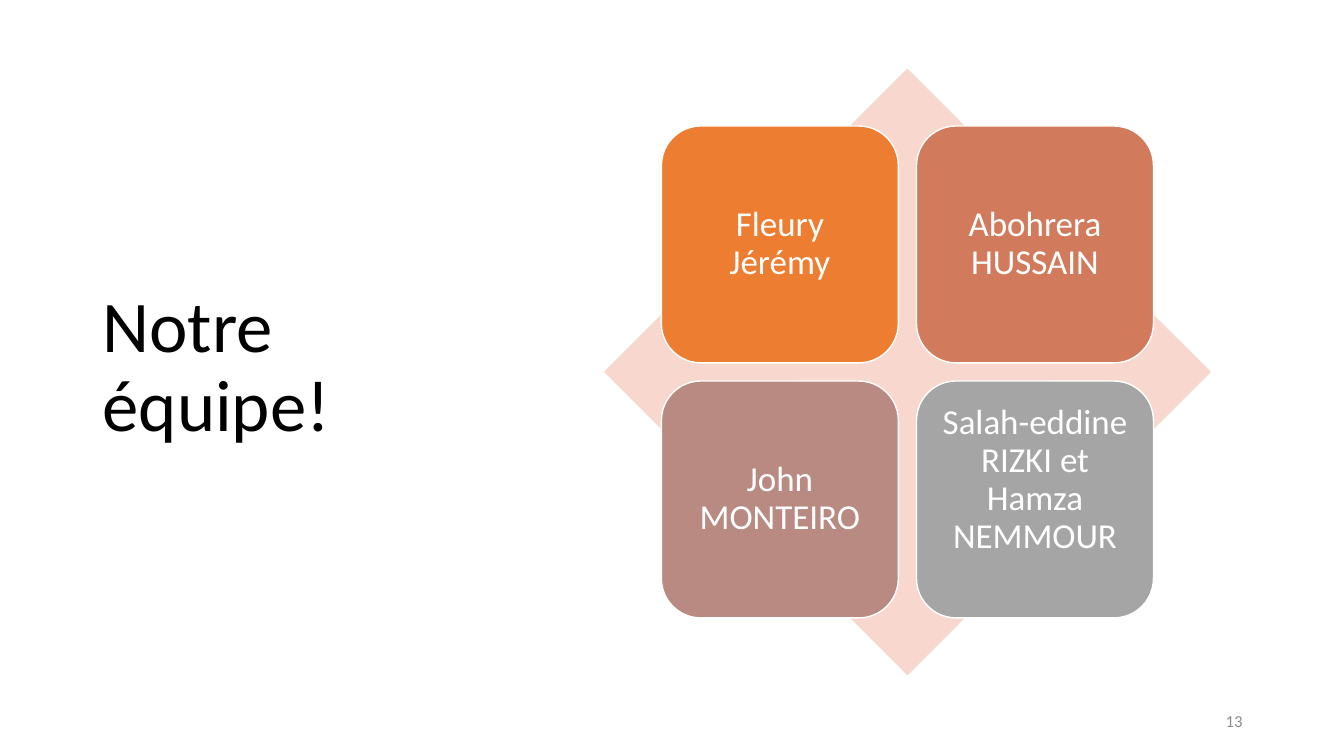
"""Build the team slide: a title beside four member cards on a diamond."""
from pptx import Presentation, util as u
from pptx.dml.color import RGBColor
from pptx.enum import shapes, text

W, H = 13.33, 7.5
COLORS = {
    "title": "000000", "number": "8C8C8C", "white": "FFFFFF", "diamond": "F8D7CE",
    "orange": "ED7D31", "terracotta": "D17B5C", "rose": "B98A82", "gray": "A5A5A5",
}
DIAMOND = (5.99, 0.68, 6.02)
CARD, PITCH, INSET = 2.35, 2.53, 0.1
LINE = 0.38
TEAM = [
    ("Fleury Jérémy", "orange", 0),
    ("Abohrera HUSSAIN", "terracotta", 0),
    ("John MONTEIRO", "rose", 0),
    ("Salah-eddine RIZKI et Hamza NEMMOUR", "gray", LINE),
]


def rgb(name):
    """Return the named colour."""
    return RGBColor.from_string(COLORS[name])


def write(sp, words, size, color, align, spacing=1.0, margins=None):
    """Put one formatted paragraph in a shape."""
    tf = sp.text_frame
    frame = {"word_wrap": True, "vertical_anchor": text.MSO_ANCHOR.MIDDLE}
    for key, value in {**frame, **(margins or {})}.items():
        setattr(tf, key, value)
    p = tf.paragraphs[0]
    for key, value in {"alignment": align, "line_spacing": spacing}.items():
        setattr(p, key, value)
    r = p.add_run()
    r.text = words
    for key, value in {"name": "Calibri", "size": u.Pt(size)}.items():
        setattr(r.font, key, value)
    r.font.color.rgb = rgb(color)


def add_label(s, box, *style):
    """Add a text box placed by shares of the slide's size."""
    x, y, w, h = box
    sp = s.shapes.add_textbox(u.Inches(x * W), u.Inches(y * H),
                              u.Inches(w * W), u.Inches(h * H))
    write(sp, *style)


def add_square(s, kind, x, y, side, color):
    """Add a filled square-sided preset shape."""
    sp = s.shapes.add_shape(kind, *(u.Inches(v) for v in (x, y, side, side)))
    sp.shadow.inherit = False
    sp.fill.solid()
    sp.fill.fore_color.rgb = rgb(color)
    sp.line.fill.background()
    return sp


def add_card(s, col, row, words, color, lift):
    """Add a member card at a grid cell, with its text raised by half of lift."""
    left, top, side = DIAMOND
    edge = (side - PITCH - CARD) / 2
    sp = add_square(s, shapes.MSO_SHAPE.ROUNDED_RECTANGLE, left + edge + col * PITCH,
                    top + edge + row * PITCH, CARD, color)
    sp.line.color.rgb = rgb("white")
    sp.line.width = u.Pt(1)
    margins = {f"margin_{side}": u.Inches(INSET) for side in ("left", "right", "top")}
    margins["margin_bottom"] = u.Inches(INSET + lift)
    write(sp, words, 25, "white", text.PP_ALIGN.CENTER, 0.9, margins)


def main():
    """Build and save the slide."""
    prs = Presentation()
    prs.slide_width, prs.slide_height = u.Inches(W), u.Inches(H)
    s = prs.slides.add_slide(prs.slide_layouts[6])
    add_label(s, (0.069, 0.081, 0.277, 0.812), "Notre équipe!", 52, "title",
              text.PP_ALIGN.LEFT, 0.9)
    add_square(s, shapes.MSO_SHAPE.DIAMOND, *DIAMOND, "diamond")
    for i, member in enumerate(TEAM):
        add_card(s, i % 2, i // 2, *member)
    add_label(s, (0.707, 0.927, 0.225, 0.053), "13", 12, "number", text.PP_ALIGN.RIGHT)
    prs.save("out.pptx")


if __name__ == "__main__":
    main()
